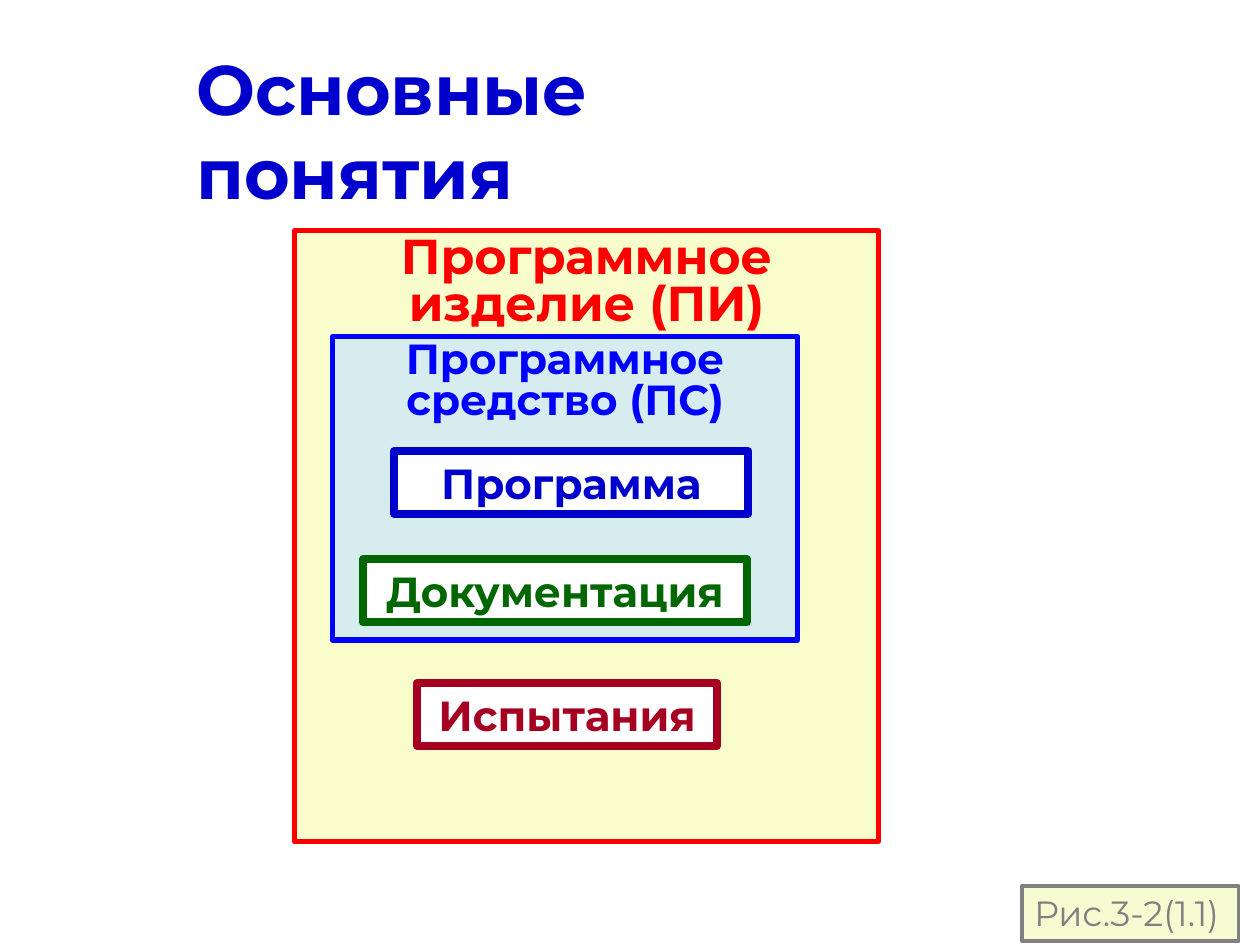
from pptx import Presentation
from pptx.dml.color import RGBColor
from pptx.enum.shapes import MSO_SHAPE
from pptx.enum.text import MSO_ANCHOR, PP_ALIGN
from pptx.util import Inches, Pt

FONT = "Montserrat"
WHITE = RGBColor(0xFF, 0xFF, 0xFF)
RED = RGBColor(0xFF, 0x00, 0x00)
BLUE = RGBColor(0x00, 0x00, 0xFF)
NAVY = RGBColor(0x00, 0x00, 0xCC)
GREEN = RGBColor(0x00, 0x66, 0x00)
CRIMSON = RGBColor(0xA5, 0x00, 0x21)
GRAY = RGBColor(0x80, 0x80, 0x80)
CREAM = RGBColor(0xF9, 0xFD, 0xCB)
PALE_BLUE = RGBColor(0xD6, 0xEC, 0xEE)
PALE_YELLOW = RGBColor(0xF7, 0xFB, 0xD1)


def write_lines(box, lines, size, color, bold=True, align=PP_ALIGN.CENTER, spacing=1.0):
    frame = box.text_frame
    frame.word_wrap = True
    frame.vertical_anchor = MSO_ANCHOR.TOP
    for index, line in enumerate(lines):
        para = frame.add_paragraph() if index else frame.paragraphs[0]
        para.alignment = align
        para.line_spacing = spacing
        span = para.add_run()
        span.text = line
        span.font.name = FONT
        span.font.size = Pt(size)
        span.font.bold = bold
        span.font.color.rgb = color


def add_frame(page, place, fill, color, line_width):
    box = page.shapes.add_shape(MSO_SHAPE.RECTANGLE, *map(Inches, place))
    box.shadow.inherit = False
    box.fill.solid()
    box.fill.fore_color.rgb = fill
    box.line.color.rgb = color
    box.line.width = Pt(line_width)
    return box


def add_container(page, place, fill, color, lines, size):
    box = add_frame(page, place, fill, color, 3)
    write_lines(box, lines, size, color, spacing=0.8)


def add_part(page, left, top, width, text, color):
    box = add_frame(page, (left, top, width, 0.5), WHITE, color, 4.5)
    write_lines(box, [text], 24, color)


def add_title(page, text):
    box = page.shapes.add_textbox(Inches(1.46), Inches(0.31), Inches(5.73), Inches(0.77))
    write_lines(box, [text], 40, NAVY, align=PP_ALIGN.LEFT)


def add_figure_label(page, text):
    box = add_frame(page, (8.11, 7.03, 1.72, 0.44), PALE_YELLOW, GRAY, 2.25)
    write_lines(box, [text], 20, GRAY, bold=False, align=PP_ALIGN.LEFT)


def main():
    deck = Presentation()
    deck.slide_width = Inches(10)
    deck.slide_height = Inches(7.5)
    page = deck.slides.add_slide(deck.slide_layouts[6])

    add_container(page, (2.34, 1.83, 4.63, 4.85), CREAM, RED,
                  ["Программное", "изделие (ПИ)"], 28)
    add_container(page, (2.64, 2.67, 3.69, 2.41), PALE_BLUE, BLUE,
                  ["Программное", "средство (ПС)"], 24)
    add_title(page, "Основные понятия")
    add_part(page, 3.13, 3.58, 2.81, "Программа", NAVY)
    add_part(page, 2.88, 4.44, 3.05, "Документация", GREEN)
    add_part(page, 3.31, 5.42, 2.38, "Испытания", CRIMSON)
    add_figure_label(page, "Рис.3-2(1.1)")

    deck.save("out.pptx")


if __name__ == "__main__":
    main()
